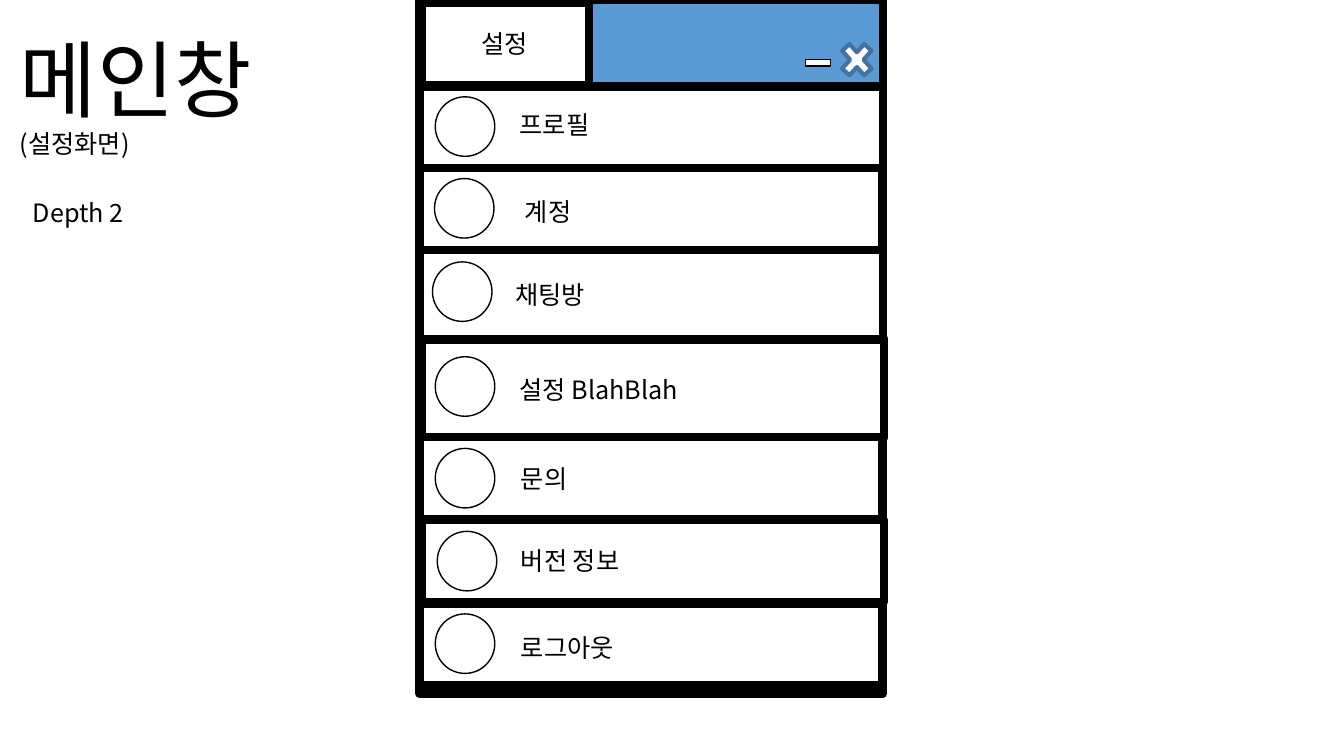
from pptx import Presentation
from pptx.dml.color import RGBColor
from pptx.enum.shapes import MSO_SHAPE
from pptx.enum.text import MSO_AUTO_SIZE, PP_ALIGN
from pptx.oxml.ns import qn
from pptx.util import Cm, Pt

FONT = "Noto Sans CJK KR"
BLACK = RGBColor(0, 0, 0)
WHITE = RGBColor(255, 255, 255)
BLUE = RGBColor(0x5B, 0x9B, 0xD5)
DARK_BLUE = RGBColor(0x43, 0x73, 0x9E)

# label, (row left, top, height), (circle left, top), (label left, top)
MENU = [
    ("프로필", (10.59, 2.18, 2.06), (10.97, 2.44), (12.85, 2.64)),
    ("계정", (10.57, 4.24, 2.06), (10.95, 4.5), (12.98, 4.83)),
    ("채팅방", (10.59, 6.3, 2.26), (10.9, 6.6), (12.73, 6.91)),
    ("설정 BlahBlah", (10.62, 8.53, 2.51), (10.97, 8.99), (12.85, 9.32)),
    ("문의", (10.57, 11.02, 2.06), (10.97, 11.3), (12.88, 11.56)),
    ("버전 정보", (10.62, 13.11, 2.06), (11.02, 13.39), (12.88, 13.61)),
    ("로그아웃", (10.57, 15.21, 2.06), (10.97, 15.47), (12.88, 15.8)),
]
STACKING = [1, 3, 5, 2, 4, 6, 0]
ROW_WIDTH = 11.66
CIRCLE = 1.5
LABEL_SIZE = (5.38, 1.02)
TITLE = [("메인창", 60), ("(설정화면)", 18)]


def add_box(s, kind, box, fill=WHITE, line=BLACK, weight=6):
    sp = s.shapes.add_shape(kind, *map(Cm, box))
    sp.shadow.inherit = False
    sp.fill.solid()
    sp.fill.fore_color.rgb = fill
    sp.line.color.rgb = line
    sp.line.width = Pt(weight)
    return sp


def add_text(s, box, lines, align=PP_ALIGN.LEFT):
    tf = s.shapes.add_textbox(*map(Cm, box)).text_frame
    tf.word_wrap = True
    tf.auto_size = MSO_AUTO_SIZE.SHAPE_TO_FIT_TEXT
    tf.text = "\n".join(text for text, size in lines)
    for p, (text, size) in zip(tf.paragraphs, lines):
        p.alignment = align
        for r in p.runs:
            r.font.name = FONT
            r.font.size = Pt(size)
            r.font.color.rgb = BLACK
            ea = r.font._element.makeelement(qn("a:ea"), {"typeface": FONT})
            r.font._element.find(qn("a:latin")).addnext(ea)


def main():
    prs = Presentation()
    prs.slide_width, prs.slide_height = Cm(33.87), Cm(19.05)
    s = prs.slides.add_slide(prs.slide_layouts[6])

    add_box(s, MSO_SHAPE.RECTANGLE, (10.57, 0, 11.68, 17.48), BLUE)
    add_box(s, MSO_SHAPE.MATH_MULTIPLY, (21.06, 0.91, 1.07, 1.19), WHITE, DARK_BLUE, 3)
    add_box(s, MSO_SHAPE.MATH_MINUS, (20.19, 1.24, 0.86, 0.69), weight=1)
    add_text(s, (0.25, 0.58, 9.7, 3.58), TITLE)

    for i in STACKING:
        left, top, height = MENU[i][1]
        add_box(s, MSO_SHAPE.RECTANGLE, (left, top, ROW_WIDTH, height))
    for label, row, circle_at, label_at in MENU:
        add_box(s, MSO_SHAPE.OVAL, (*circle_at, CIRCLE, CIRCLE), weight=1)
        add_text(s, (*label_at, *LABEL_SIZE), [(label, 18)])

    add_box(s, MSO_SHAPE.RECTANGLE, (10.62, 0.08, 4.22, 2.06))
    add_text(s, (10.82, 0.58, 3.81, 1.02), [("설정", 18)], PP_ALIGN.CENTER)
    add_text(s, (0.58, 4.85, 7.52, 1.02), [("Depth 2", 18)])

    prs.save("out.pptx")


if __name__ == "__main__":
    main()
